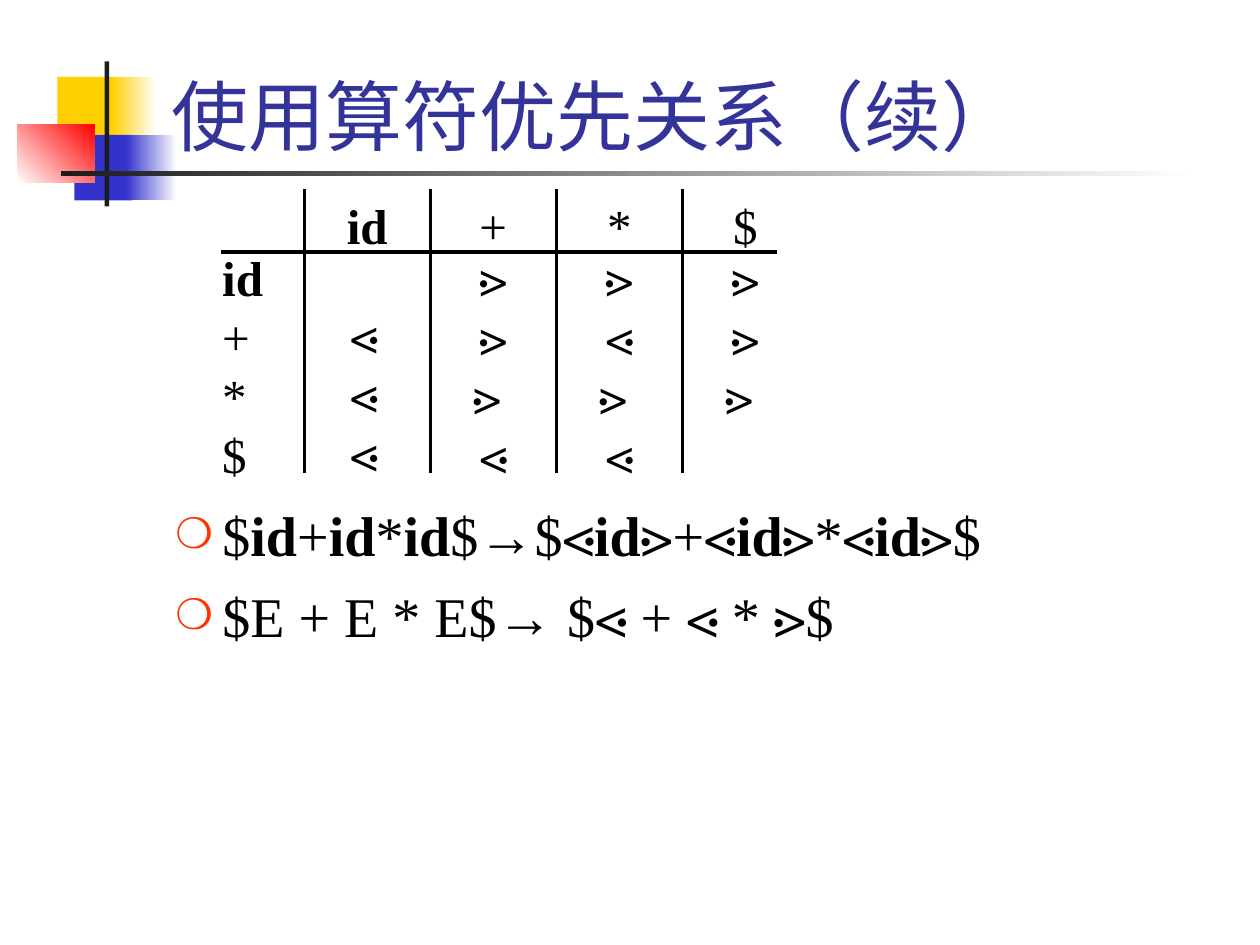
import lxml.etree
import pptx
import pptx.dml.color
import pptx.enum.shapes
import pptx.enum.text
import pptx.oxml.ns
import pptx.util

Cm, Pt = pptx.util.Cm, pptx.util.Pt
ALIGN = pptx.enum.text.PP_ALIGN
ANCHOR = pptx.enum.text.MSO_ANCHOR
FIT = pptx.enum.text.MSO_AUTO_SIZE

# Content: "|" parts the runs, "\v" breaks the line
TITLE = "使用算符优先关系（续）"
POINTS = [
    "$|id|+|id|*|id|$|→|$⋖|id|⋗+⋖|id|⋗*⋖|id|⋗$",
    "$E + E * E$|→| $⋖ + ⋖ * ⋗$",
]
LABELS = "id|\v+\v*\v$"
HEADS = ["id", "+", "*", "$"]
COLS = ["⋖\v⋖\v⋖", "⋗\v⋗\v⋗ \v⋖", "⋗\v⋖\v⋗ \v⋖", "⋗\v⋗\v⋗ "]

COLORS = {
    "yellow": "FFCF01", "blue": "3333CC", "red": "FF0000", "white": "FFFFFF",
    "dark": "1C1C1C", "title": "333399", "bullet": "FF3300", "black": "000000",
}
# Left, top, width, height in cm; colours; gradient angle
DECOR = [
    (1.16, 1.55, 1.23, 1.32, ["yellow"], 0),
    (2.24, 1.55, 0.91, 1.32, ["yellow", "white"], 0),
    (1.5, 2.72, 1.17, 1.32, ["blue"], 0),
    (2.54, 2.72, 1.02, 1.32, ["blue", "white"], 0),
    (0.35, 2.51, 1.55, 1.17, ["white", "red"], 45),
    (2.11, 1.24, 0.09, 2.92, ["dark"], 0),
    (1.23, 3.45, 22.86, 0.09, ["dark", "white"], 0),
]

# Grid of the relation table, in cm
STEP = 2.54
TOP, RULE, END = 3.81, 5.08, 9.53
LEFT, RIGHT = 4.45, 15.67
BAR, CELL, WIDE = 6.14, 6.56, 1.69
HEAD, ROWS, LINE = 1.45, 4.87, 1.19


def rgb(name):
    return pptx.dml.color.RGBColor.from_string(COLORS[name])


def write(frame, lines, size=28, color="black", align=ALIGN.LEFT,
          anchor=ANCHOR.TOP, fit=FIT.NONE, gap=0, mark=None):
    frame.word_wrap = True
    frame.auto_size = fit
    frame.vertical_anchor = anchor
    for num, line in enumerate(lines):
        para = frame.add_paragraph() if num else frame.paragraphs[0]
        para.alignment = align
        if mark:
            bullet(para, mark)
        para.space_before = Pt(gap if num else 0)
        for part in line.split("|"):
            for row, text in enumerate(part.split("\v")):
                if row:
                    para.add_line_break()
                if not text:
                    continue
                run = para.add_run()
                run.text = text
                run.font.size = Pt(size)
                run.font.name = "Arial" if text == "→" else "Times New Roman"
                run.font.bold = text == "id"
                run.font.color.rgb = rgb(color)


def bullet(para, mark):
    props = para._p.get_or_add_pPr()
    props.set("marL", str(Cm(0.95)))
    props.set("indent", str(-Cm(0.95)))

    def add(node, tag, **attrs):
        return lxml.etree.SubElement(node, pptx.oxml.ns.qn(tag), attrs)

    add(add(props, "a:buClr"), "a:srgbClr", val=COLORS["bullet"])
    add(props, "a:buSzPct", val="75000")
    add(props, "a:buChar", char=mark)


def place(shape, *box):
    shape.left, shape.top, shape.width, shape.height = map(Cm, box)


def rule(slide, *ends):
    kind = pptx.enum.shapes.MSO_CONNECTOR.STRAIGHT
    line = slide.shapes.add_connector(kind, *map(Cm, ends))
    line.line.color.rgb = rgb("black")
    line.line.width = Pt(2)
    props = line._element.spPr
    lxml.etree.SubElement(props, pptx.oxml.ns.qn("a:effectLst"))


def block(slide, text, *box, align=ALIGN.CENTER):
    frame = slide.shapes.add_textbox(*map(Cm, box)).text_frame
    write(frame, [text], align=align, fit=FIT.SHAPE_TO_FIT_TEXT)
    return frame


def decor(slide):
    kind = pptx.enum.shapes.MSO_SHAPE.RECTANGLE
    tree = slide.shapes._spTree
    for num, (*box, names, angle) in enumerate(DECOR):
        shape = slide.shapes.add_shape(kind, *map(Cm, box))
        shape.shadow.inherit = False
        shape.line.fill.background()
        if len(names) == 1:
            shape.fill.solid()
            shape.fill.fore_color.rgb = rgb(names[0])
        else:
            shape.fill.gradient()
            shape.fill.gradient_angle = angle
            for stop, name in zip(shape.fill.gradient_stops, names):
                stop.color.rgb = rgb(name)
        # Keep the decoration behind the placeholders
        tree.insert(2 + num, shape._element)


def grid(slide):
    rule(slide, LEFT, RULE, RIGHT, RULE)
    block(slide, LABELS, 4.23, ROWS, WIDE, 5, align=ALIGN.LEFT)
    for num, (head, col) in enumerate(zip(HEADS, COLS)):
        shift = num * STEP
        rule(slide, BAR + shift, TOP, BAR + shift, END)
        left = CELL + shift
        block(slide, head, left, TOP, WIDE, HEAD)
        # The first column has no entry in its first row
        first = num == 0
        tall = (col.count("\v") + 1 + first) * LINE + 0.25
        frame = block(slide, col, left, ROWS, WIDE, tall,
                      align=ALIGN.LEFT if first else ALIGN.CENTER)
        if first:
            frame.margin_top, frame.margin_left = Cm(1.27), Cm(0.5)


def main():
    deck = pptx.Presentation()
    deck.slide_width, deck.slide_height = Cm(25.4), Cm(19.05)
    slide = deck.slides.add_slide(deck.slide_layouts[1])
    decor(slide)

    # Title and bulleted strings
    title, body = slide.shapes.title, slide.placeholders[1]
    place(title, 3.2, 0.2, 21.64, 3.18)
    write(title.text_frame, [TITLE], size=44, color="title",
          anchor=ANCHOR.BOTTOM)
    place(body, 3.28, 9.96, 21.59, 5.51)
    write(body.text_frame, POINTS, size=32, gap=8, mark="❍")

    # Precedence relation table
    grid(slide)
    deck.save("out.pptx")


if __name__ == "__main__":
    main()
